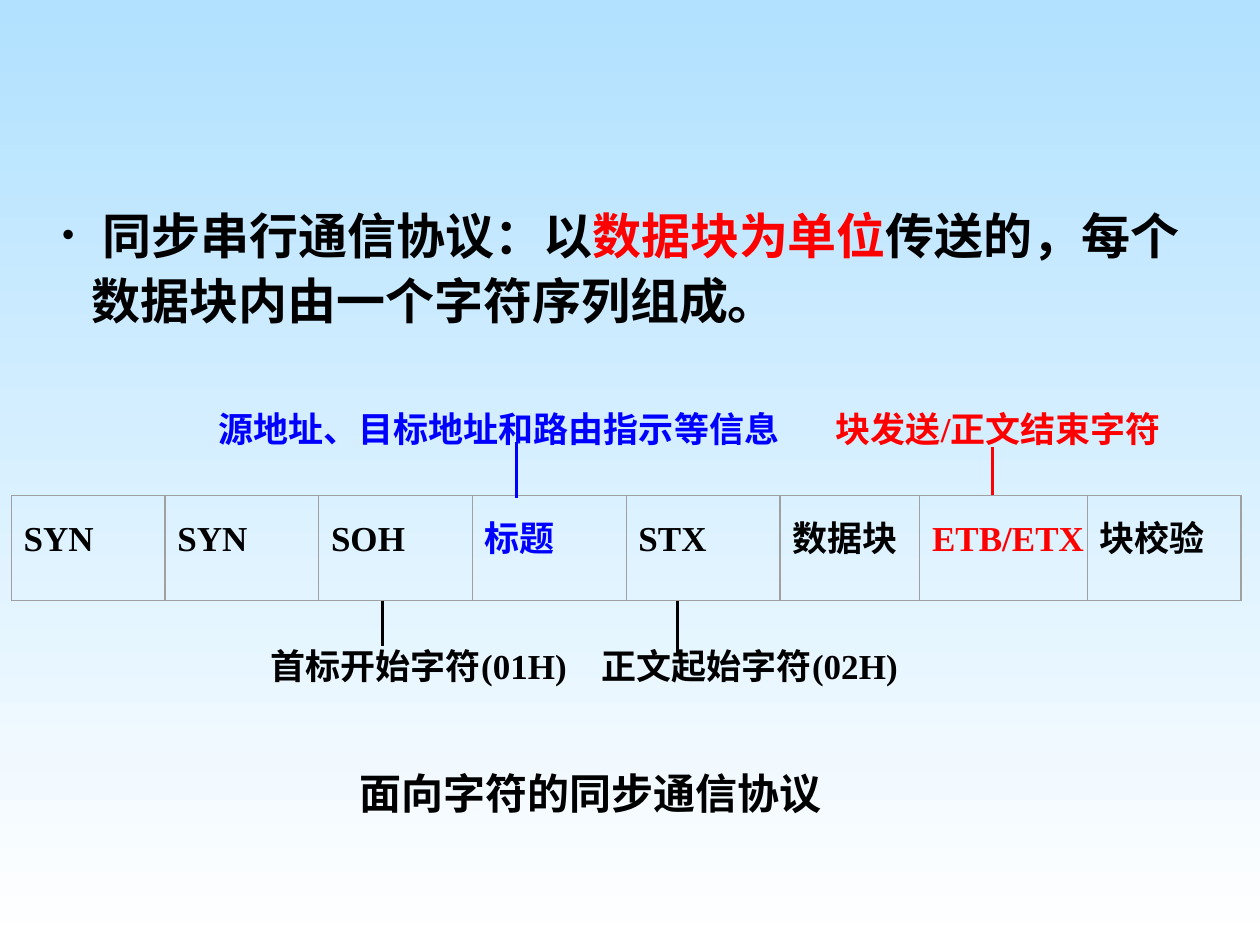
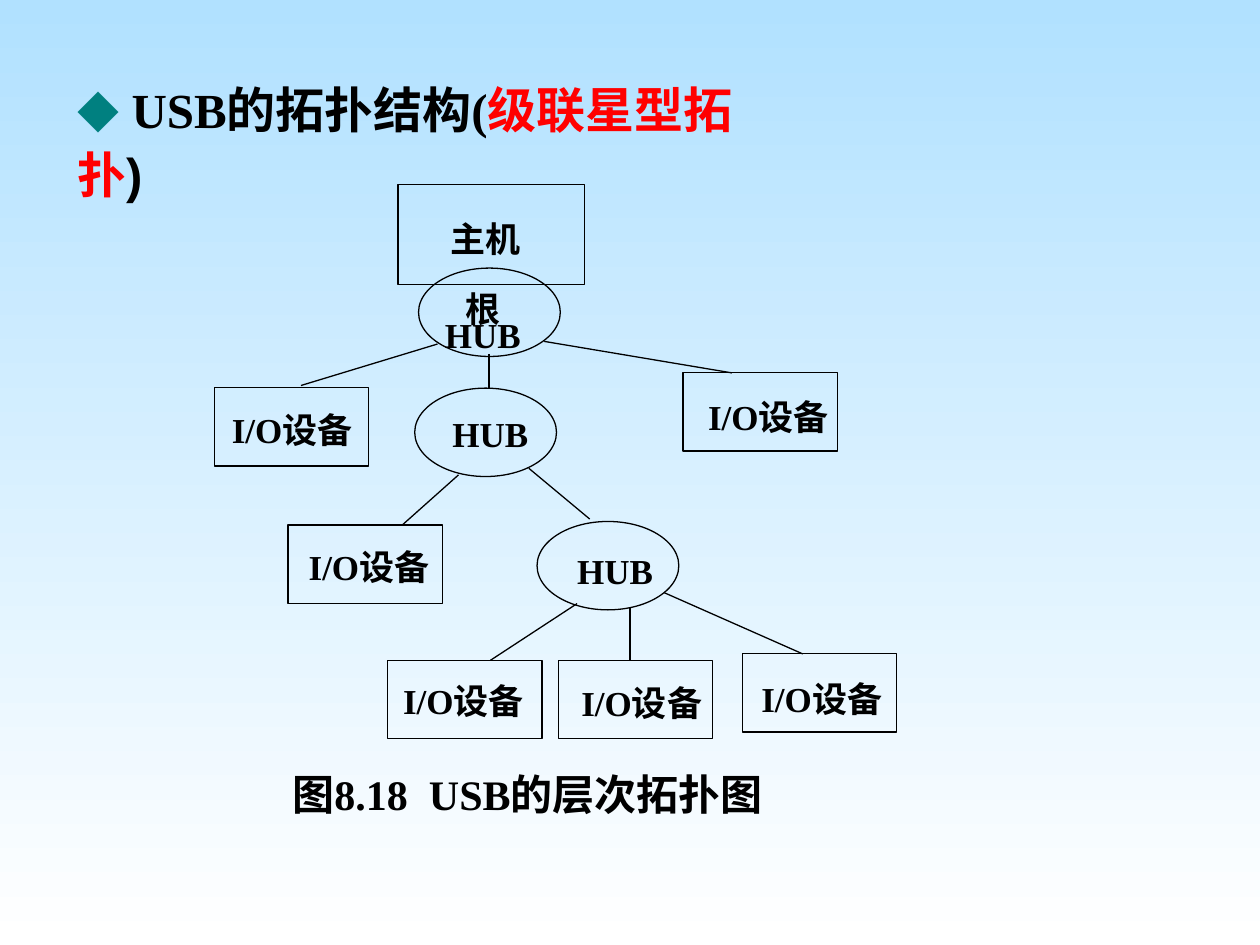
from lxml import etree
from pptx import Presentation
from pptx.dml.color import RGBColor
from pptx.enum import shapes, text
from pptx.oxml import ns
from pptx.util import Pt

BLACK = RGBColor(0x00, 0x00, 0x00)
RED = RGBColor(0xFF, 0x00, 0x00)
BLUE = RGBColor(0x00, 0x00, 0xFF)
TEAL = RGBColor(0x00, 0x80, 0x80)
GREY = RGBColor(0xA0, 0xA0, 0xA0)
SKY = RGBColor(0xB1, 0xE1, 0xFF)
WHITE = RGBColor(0xFF, 0xFF, 0xFF)
LATIN, CJK = "Times New Roman", "Noto Sans CJK SC"
RECT, OVAL = shapes.MSO_SHAPE.RECTANGLE, shapes.MSO_SHAPE.OVAL


def write(tf, runs, size, spacing=1.0, before=0, align=text.PP_ALIGN.LEFT):
    """Fill a text frame with one bold paragraph of (words, colour) runs."""
    tf.auto_size = text.MSO_AUTO_SIZE.NONE
    p = tf.paragraphs[0]
    p.alignment, p.line_spacing, p.space_before = align, spacing, Pt(before)
    p.font.name, p.font.size, p.font.bold = LATIN, Pt(size), True
    ea = etree.SubElement(p.font._element, ns.qn("a:ea"))
    ea.set("typeface", CJK)
    for words, color in runs:
        r = p.add_run()
        r.text, r.font.color.rgb = words, color
    return p


def outline(s, kind, x, y, w, h, color, width):
    """Draw an unfilled shape, or a straight line from (x, y) to (w, h)."""
    if kind == "line":
        sp = s.shapes.add_connector(shapes.MSO_CONNECTOR.STRAIGHT, Pt(x), Pt(y), Pt(w), Pt(h))
        etree.SubElement(sp._element.spPr, ns.qn("a:effectLst"))
    else:
        sp = s.shapes.add_shape(kind, Pt(x), Pt(y), Pt(w), Pt(h))
        sp.shadow.inherit = False
        sp.fill.background()
    sp.line.color.rgb, sp.line.width = color, Pt(width)


prs = Presentation()
prs.slide_width, prs.slide_height = Pt(720), Pt(540)

# Shared background
fill = prs.slide_master.background.fill
fill.gradient()
fill.gradient_angle = 270
for stop, position, color in zip(fill.gradient_stops, (0, 1), (SKY, WHITE)):
    stop.position, stop.color.rgb = position, color

# Slide 1: synchronous serial protocol
s = prs.slides.add_slide(prs.slide_layouts[1])
s.shapes.title._element.getparent().remove(s.shapes.title._element)
body = s.placeholders[1]
body.left, body.top, body.width, body.height = Pt(22.3), Pt(110.4), Pt(666), Pt(81.4)
p = write(body.text_frame, [(" 同步串行通信协议：以", BLACK), ("数据块为单位", RED),
                            ("传送的，每个数据块内由一个字符序列组成。", BLACK)], 28, 1.1)
pPr = p._p.get_or_add_pPr()
pPr.set("marL", str(Pt(23)))
pPr.set("indent", str(-Pt(17)))
bullet_size = etree.Element(ns.qn("a:buSzPct"), val="71000")
pPr.find(ns.qn("a:defRPr")).addprevious(bullet_size)

# Frame fields
FRAME_LEFT, FRAME_TOP, FRAME_HEIGHT, INSET = 6.5, 283, 60, 7
fields = [("SYN", BLACK, 87.84), ("SYN", BLACK, 87.84), ("SOH", BLACK, 87.84),
          ("标题", BLUE, 87.84), ("STX", BLACK, 87.84), ("数据块", BLACK, 79.9),
          ("ETB/ETX", RED, 95.76), ("块校验", BLACK, 87.84)]
x = FRAME_LEFT
for name, color, width in fields:
    outline(s, RECT, x, FRAME_TOP, width, FRAME_HEIGHT, GREY, 0)
    tf = s.shapes.add_textbox(Pt(x + INSET), Pt(FRAME_TOP), Pt(width - INSET),
                              Pt(FRAME_HEIGHT)).text_frame
    tf.word_wrap = True
    tf.vertical_anchor = text.MSO_ANCHOR.MIDDLE
    tf.margin_left = tf.margin_right = tf.margin_top = 0
    tf.margin_bottom = Pt(11.6)
    write(tf, [(name, color)], 20)
    x += width
outline(s, RECT, FRAME_LEFT, FRAME_TOP, x - FRAME_LEFT, FRAME_HEIGHT, GREY, 0.75)

# Field notes and captions: slide, left, top, width, words, colour, size
s2 = prs.slides.add_slide(prs.slide_layouts[5])
notes = [(s, 117.7, 229.4, 340, "源地址、目标地址和路由指示等信息", BLUE, 20),
         (s, 470.5, 229.4, 215, "块发送/正文结束字符", RED, 20),
         (s, 147.6, 365, 193, "首标开始字符(01H)", BLACK, 20),
         (s, 336.7, 365, 193, "正文起始字符(02H)", BLACK, 20),
         (s, 198.3, 434.9, 284, "面向字符的同步通信协议", BLACK, 24),
         (s2, 160, 435.5, 322, "图8.18  USB的层次拓扑图", BLACK, 24)]
for slide, x, y, w, words, color, size in notes:
    tf = slide.shapes.add_textbox(Pt(x), Pt(y), Pt(w), Pt(size * 1.6)).text_frame
    tf.word_wrap = False
    write(tf, [(words, color)], size)

for x, y1, y2, color in [(295.2, 252.7, 284.4, BLUE), (567.4, 255.6, 283, RED),
                         (218.6, 343.4, 369.4, BLACK), (387, 343.4, 373, BLACK)]:
    outline(s, "line", x, y1, x, y2, color, 1.75)

# Slide 2: USB topology
title = s2.shapes.title
title.left, title.top, title.width, title.height = Pt(37), Pt(38.4), Pt(418), Pt(82)
tf = title.text_frame
tf.vertical_anchor = text.MSO_ANCHOR.TOP
p = write(tf, [("◆", TEAL), (" USB的拓扑结构(", BLACK), ("级联星型拓扑", RED), (")", BLACK)], 28, 1.1)
diamond = p.runs[0].font
diamond.name, diamond.size, diamond.bold = CJK, Pt(24), False
for r in p.runs[2:]:
    r.font.name = "Arial"

# Nodes: kind, left, top, label, label left, label top, label width
HOST, HUB, DEVICE = (RECT, 106.5, 57), (OVAL, 81, 50.5), (RECT, 88.3, 44.8)
nodes = [(HOST, 227.5, 105.6, "主机", 250, 126.3, 55.5),
         (HUB, 239.2, 153.2, "根HUB", 249.7, 165.9, 52.5),
         (HUB, 237, 221.8, "HUB", 256.8, 237.6, 47),
         (HUB, 306.9, 298, "HUB", 328, 316, 47),
         (DEVICE, 122.4, 221.6, "I/O设备", 124.2, 235.4, 85.5),
         (DEVICE, 390.3, 213, "I/O设备", 399.6, 227.8, 79),
         (DEVICE, 164.6, 300, "I/O设备", 168.9, 313.5, 84),
         (DEVICE, 221.4, 377.3, "I/O设备", 224.6, 390.2, 80.5),
         (DEVICE, 319, 377.3, "I/O设备", 327.2, 391.3, 79),
         (DEVICE, 424.2, 373.6, "I/O设备", 429.6, 389.1, 80)]
for (kind, w, h), x, y, label, lx, ly, lw in nodes:
    outline(s2, kind, x, y, w, h, BLACK, 0.75)
    tf = s2.shapes.add_textbox(Pt(lx), Pt(ly), Pt(lw), Pt(32.5)).text_frame
    tf.word_wrap = True
    tf.margin_left = tf.margin_right = Pt(1.4)
    tf.margin_top, tf.margin_bottom = Pt(5.8), Pt(0.7)
    write(tf, [(label, BLACK)], 20, 0.64, 6, text.PP_ALIGN.CENTER)

# Links between nodes
for x1, y1, x2, y2 in [(250, 196.6, 172, 220.3), (279.4, 202.3, 279.4, 221.8),
                       (311, 195.1, 418.3, 213.1), (262, 271.4, 229.9, 300),
                       (302.2, 267.6, 337, 296.6), (329.8, 344.9, 280.3, 377.3),
                       (360, 347, 360, 377.3), (379.4, 338.6, 458.8, 373.7)]:
    outline(s2, "line", x1, y1, x2, y2, BLACK, 0.75)

prs.save("out.pptx")
